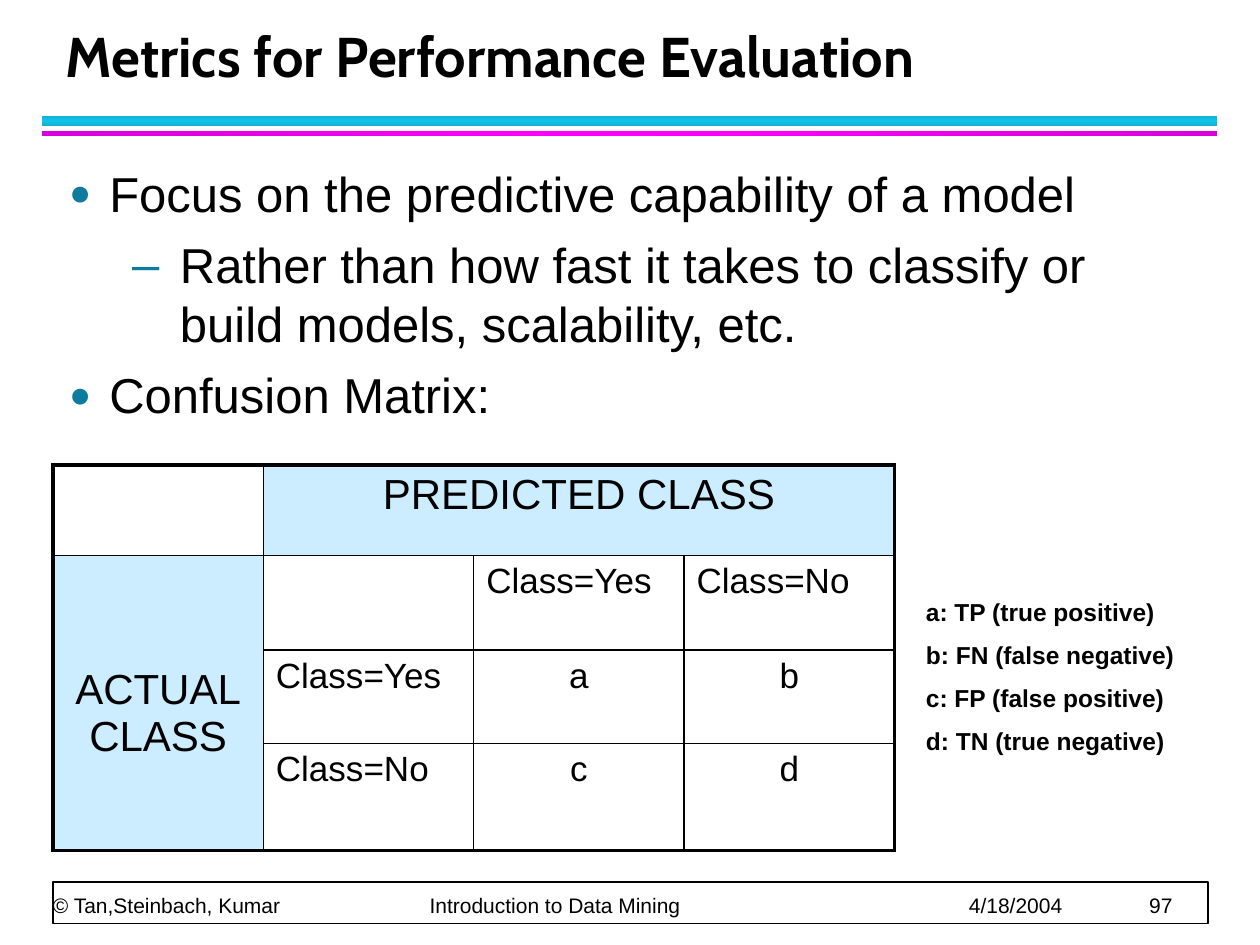
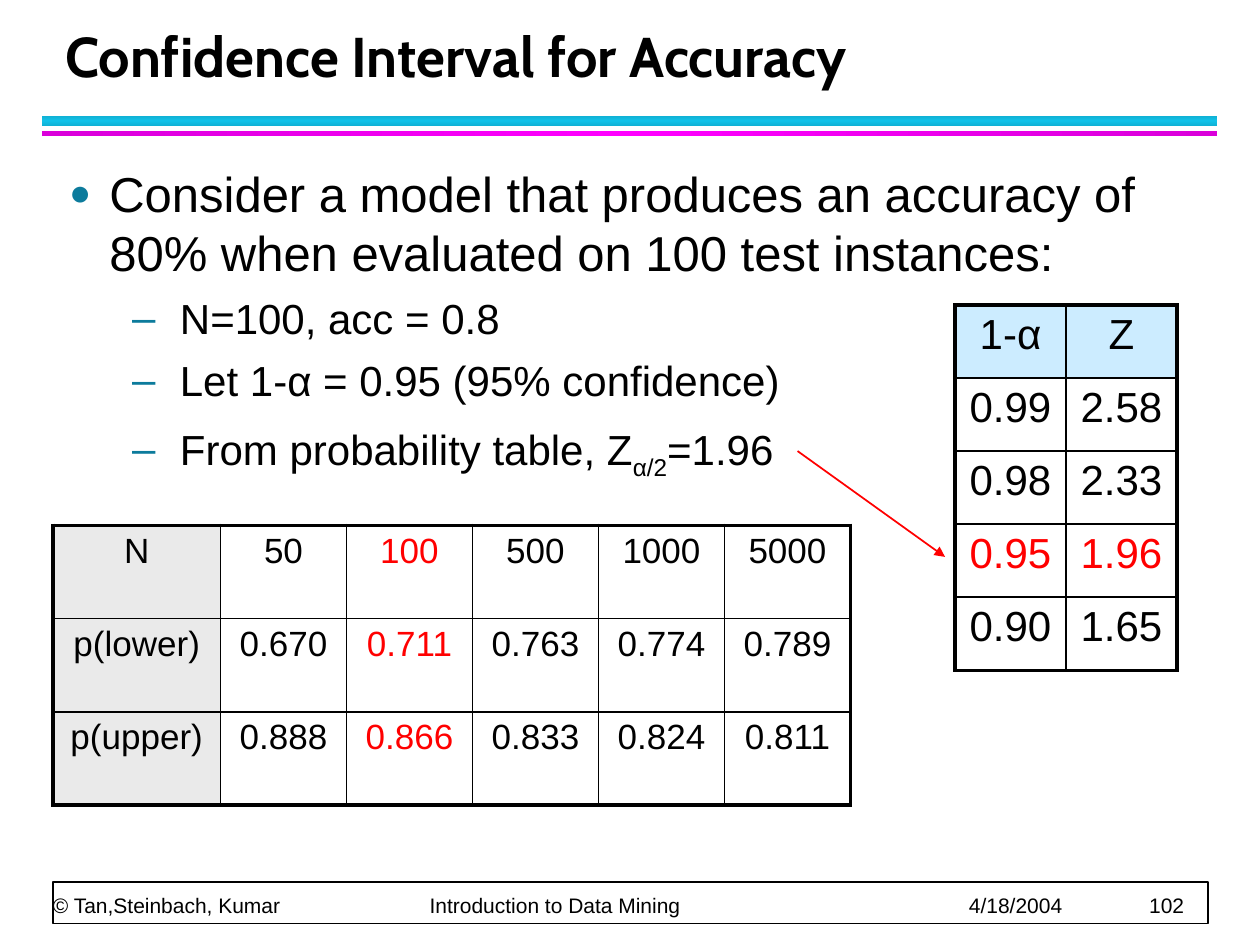
"""Build two lecture slides on classifier metrics and accuracy intervals."""
from copy import deepcopy
from pptx import Presentation
from pptx.dml.color import RGBColor as RGB
from pptx.enum.shapes import MSO_CONNECTOR as LINE, MSO_SHAPE as SHAPE
from pptx.enum.text import MSO_ANCHOR as ANCHOR, PP_ALIGN as ALIGN
from pptx.oxml.ns import qn
from pptx.oxml.xmlchemy import OxmlElement as Node
from pptx.util import Inches, Pt

BLACK, WHITE, RED = RGB(0, 0, 0), RGB(255, 255, 255), RGB(255, 0, 0)
TEAL, SKY, GREY = RGB(0x0C, 0x7B, 0x9C), RGB(0xCC, 0xEC, 0xFF), RGB(0xEA, 0xEA, 0xEA)
CYAN = RGB(0x10, 0xB0, 0xD3), RGB(0x12, 0xC2, 0xE9)
PINK = RGB(0xDA, 0, 0xDA), RGB(255, 0, 255)

LEFT = 0.42
BANDS = [(0.92, 0.08, CYAN, 90), (1.04, 0.04, PINK, 0)]
FOOT = ["© Tan,Steinbach, Kumar", "Introduction to Data Mining", "4/18/2004"]
TABS = [2.99, 7.27, 8.7]
LEVELS = [("●", 0.32, 0.32, 75), ("–", 0.88, 0.38, 100)]

FOCUS = [
    (0, 28, "Focus on the predictive capability of a model"),
    (1, 28, "Rather than how fast it takes to classify or build models, scalability, etc."),
    (0, 28, "Confusion Matrix:"),
]
MATRIX = [
    ["", "PREDICTED CLASS", "", ""],
    ["ACTUAL\vCLASS", "", "Class=Yes", "Class=No"],
    ["", "Class=Yes", "a", "b"],
    ["", "Class=No", "c", "d"],
]
KEY = ["a: TP (true positive)", "b: FN (false negative)",
       "c: FP (false positive)", "d: TN (true negative)"]
MODEL = [
    (0, 28, "Consider a model that produces an accuracy of 80% when evaluated on 100 test instances:"),
    (1, 24, "N=100, acc = 0.8"),
    (1, 24, "Let 1-α = 0.95 (95% confidence)"),
    (1, 24, [("From probability table, Z", {}), ("α/2", {"base": -25}),
             ("=1.96", {}), (" ", {"size": 28})]),
]
SCORES = [["1-α", "Z"], ["0.99", "2.58"], ["0.98", "2.33"], ["0.95", "1.96"], ["0.90", "1.65"]]
BOUNDS = [
    ["N", "50", "100", "500", "1000", "5000"],
    ["p(lower)", "0.670", "0.711", "0.763", "0.774", "0.789"],
    ["p(upper)", "0.888", "0.866", "0.833", "0.824", "0.811"],
]


def write(par, text, size=24, font="Arial", color=BLACK, bold=False,
          align=ALIGN.LEFT, before=0.1, after=4, pitch=None):
    par.alignment = align
    par.space_before, par.space_after = Pt(round(size * before * 1.1, 1)), Pt(after)
    if pitch:
        par.line_spacing = Pt(pitch)
    for words, look in [(text, {})] if isinstance(text, str) else text:
        for i, part in enumerate(words.split("\v")):
            if i:
                par.add_line_break()
            run = par.add_run()
            run.text = part
            run.font.size = Pt(look.get("size", size))
            run.font.name, run.font.bold = font, bold
            run.font.color.rgb = color
            if "base" in look:
                run.font._element.set("baseline", str(look["base"] * 1000))


def add(par, tag, **attrs):
    node = Node(tag)
    for name, value in attrs.items():
        node.set(name, str(value))
    par.append(node)
    return node


def box(slide, *at, anchor=ANCHOR.TOP, pad=True):
    frame = slide.shapes.add_textbox(*map(Inches, at)).text_frame
    frame.word_wrap, frame.vertical_anchor = True, anchor
    if not pad:
        frame.margin_left = frame.margin_right = frame.margin_top = frame.margin_bottom = 0
    return frame


def lines(frame, items):
    for i, item in enumerate(items):
        yield (frame.add_paragraph() if i else frame.paragraphs[0]), item


def rect(slide, *at):
    shape = slide.shapes.add_shape(SHAPE.RECTANGLE, *map(Inches, at))
    shape.shadow.inherit = False
    return shape


def band(slide, top, height, hues, angle):
    bar = rect(slide, 0.33, top, 9.33, height)
    bar.line.fill.background()
    bar.fill.gradient()
    bar.fill.gradient_angle = angle
    for stop, hue, place in zip(bar.fill.gradient_stops, hues, (0, 0.5)):
        stop.color.rgb, stop.position = hue, place
    stops = bar._element.spPr.find(qn("a:gradFill")).find(qn("a:gsLst"))
    last = deepcopy(stops[0])
    last.set("pos", "100000")
    stops.append(last)


def start(deck, title, number, points):
    slide = deck.slides.add_slide(deck.slide_layouts[6])
    for spec in BANDS:
        band(slide, *spec)
    rim = rect(slide, LEFT, 7, 9.17, 0.33)
    rim.fill.solid()
    rim.fill.fore_color.rgb = WHITE
    rim.line.color.rgb, rim.line.width = BLACK, Pt(1)
    par = box(slide, LEFT, 7, 9.15, 0.28, anchor=ANCHOR.BOTTOM, pad=False).paragraphs[0]
    write(par, "\t".join(FOOT + [str(number)]), size=12, before=0, after=0, pitch=20)
    stops = add(par._p.get_or_add_pPr(), "a:tabLst")
    for tab in TABS:
        add(stops, "a:tab", pos=Inches(tab), algn="l")
    head = box(slide, LEFT, 0.17, 9.06, 0.58, anchor=ANCHOR.BOTTOM)
    write(head.paragraphs[0], title, size=32, font="Cabin", bold=True,
          before=0, after=0, pitch=36)
    for par, (level, size, text) in lines(box(slide, 0.45, 1.25, 9.1, 5.67), points):
        write(par, text, size=size)
        mark, indent, hang, scale = LEVELS[level]
        par.level = level
        props = par._p.get_or_add_pPr()
        props.set("marL", str(Inches(indent)))
        props.set("indent", str(-Inches(hang)))
        add(add(props, "a:buClr"), "a:srgbClr", val=TEAL)
        add(props, "a:buSzPct", val=scale * 1000)
        add(props, "a:buFont", typeface="Arial")
        add(props, "a:buChar", char=mark)
    return slide


def edge(cell, thick):
    props = cell._tc.get_or_add_tcPr()
    for side, outer in zip("LRTB", thick):
        line = add(props, f"a:ln{side}", w=Pt(2.25 if outer else 1))
        add(add(line, "a:solidFill"), "a:srgbClr", val=BLACK)


def grid(slide, data, left, top, cols, rows, look, merges=()):
    high, wide = len(rows), len(cols)
    table = slide.shapes.add_table(high, wide, *map(Inches, (left, top, sum(cols), sum(rows)))).table
    table.first_row = table.horz_banding = False
    for part, size in [*zip(table.columns, cols)]:
        part.width = Inches(size)
    for part, size in zip(table.rows, rows):
        part.height = Inches(size)
    for first, last in merges:
        table.cell(*first).merge(table.cell(*last))
    for r, row in enumerate(data):
        for c, text in enumerate(row):
            cell = table.cell(r, c)
            down, across = (cell.span_height, cell.span_width) if cell.is_merge_origin else (1, 1)
            edge(cell, (c == 0, c + across == wide, r == 0, r + down == high))
            fill, style = look(r, c, text)
            if fill:
                cell.fill.solid()
                cell.fill.fore_color.rgb = fill
            else:
                cell.fill.background()
            if text:
                write(cell.text_frame.paragraphs[0], text, **style)
    return table


def matrix(r, c, text):
    head = text.isupper()
    label = text.startswith("Class")
    return SKY if head else None, {"size": 24 if head else 20,
                                   "align": ALIGN.LEFT if label else ALIGN.CENTER}


def scores(r, c, text):
    return None if r else SKY, {"align": ALIGN.CENTER, "color": RED if r == 3 else BLACK}


def bounds(r, c, text):
    return None if c else GREY, {"size": 20, "align": ALIGN.CENTER,
                                 "color": RED if c == 2 else BLACK}


def main():
    deck = Presentation()
    deck.slide_width, deck.slide_height = Inches(10), Inches(7.5)

    slide = start(deck, "Metrics for Performance Evaluation", 97, FOCUS)
    table = grid(slide, MATRIX, LEFT, 3.69, [1.67] * 4, [0.72, 0.75, 0.74, 0.85], matrix,
                 merges=[((0, 1), (0, 3)), ((1, 0), (3, 0))])
    table.cell(1, 0).margin_top = Inches(0.88)
    for par, text in lines(box(slide, 7.25, 4.69, 2.42, 1.38), KEY):
        write(par, text, size=14, bold=True, before=0.5, after=0)

    slide = start(deck, "Confidence Interval for Accuracy", 102, MODEL)
    grid(slide, SCORES, 7.58, 2.42, [0.88] * 2, [0.58] * 5, scores)
    arrow = slide.shapes.add_connector(LINE.STRAIGHT, *map(Inches, (6.33, 3.58, 7.5, 4.42)))
    arrow.line.color.rgb, arrow.line.width = RED, Pt(1)
    add(arrow.line._get_or_add_ln(), "a:tailEnd", type="triangle")
    add(arrow._element.spPr, "a:effectLst")
    grid(slide, BOUNDS, LEFT, 4.17, [1.33] + [1] * 5, [0.74] * 3, bounds)

    deck.save("out.pptx")


if __name__ == "__main__":
    main()
